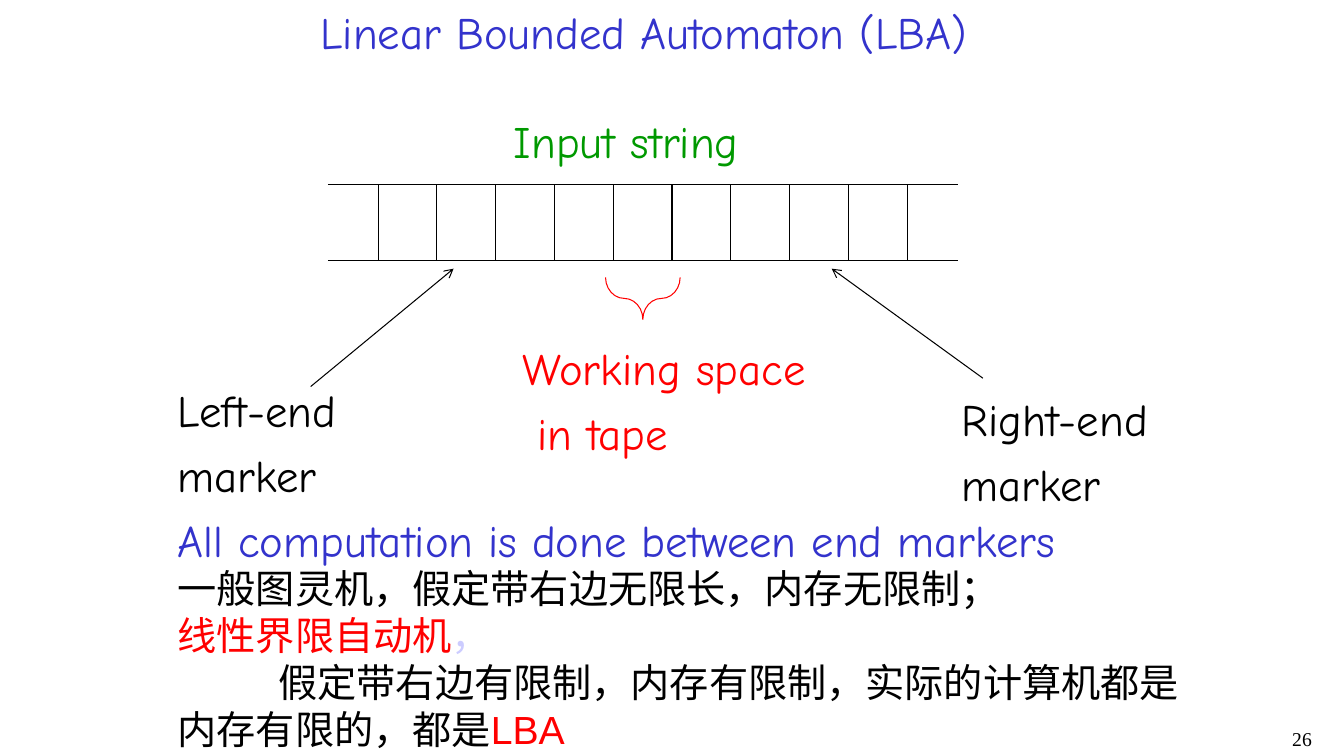
from lxml import etree
from pptx import Presentation
from pptx import util as u
from pptx.dml.color import RGBColor
from pptx.enum import shapes, text
from pptx.oxml import ns

BLACK = RGBColor(0x00, 0x00, 0x00)
GREEN = RGBColor(0x00, 0x99, 0x00)
RED = RGBColor(0xFF, 0x00, 0x00)
BLUE = RGBColor(0x33, 0x33, 0xCC)
PALE = RGBColor(0xCC, 0xCC, 0xFF)


class Board:
    """Holds the style and the current slide."""
    label = {"name": "Comic Neue", "size": u.Pt(32)}
    note = {"name": "Arial", "size": u.Pt(28)}
    page = {"name": "Times New Roman", "size": u.Pt(14)}
    width = u.Pt(0.75)

    def __init__(self, deck):
        self.slide = deck.slides.add_slide(deck.slide_layouts[6])

    def words(self, box, paras, font, gap=0, align=text.PP_ALIGN.LEFT):
        """Each paragraph is a list of (words, colour) runs."""
        frame = self.slide.shapes.add_textbox(*map(u.Cm, box)).text_frame
        frame.word_wrap = True
        for i, runs in enumerate(paras):
            para = frame.paragraphs[0] if i == 0 else frame.add_paragraph()
            para.alignment = align
            if i and gap:
                para.space_before = u.Pt(gap)
            for part, color in runs:
                run = para.add_run()
                run.text = part
                for key, value in font.items():
                    setattr(run.font, key, value)
                run.font.color.rgb = color
        return frame

    def tag(self, box, color, *lines):
        self.words(box, [[(line, color)] for line in lines], self.label, gap=8)

    def line(self, x1, y1, x2, y2, arrow=False):
        link = self.slide.shapes.add_connector(
            shapes.MSO_CONNECTOR.STRAIGHT, *map(u.Cm, (x1, y1, x2, y2)))
        link.line.width = self.width
        link.line.color.rgb = BLACK
        props = link._element.spPr
        if arrow:
            tail = etree.SubElement(props.get_or_add_ln(), ns.qn("a:tailEnd"))
            tail.set("type", "arrow")
        etree.SubElement(props, ns.qn("a:effectLst"))

    def brace(self, box, color):
        form = self.slide.shapes.add_shape(
            shapes.MSO_SHAPE.RIGHT_BRACE, *map(u.Cm, box))
        form.rotation = 90
        form.adjustments[0] = 0.55
        form.shadow.inherit = False
        form.fill.background()
        form.line.color.rgb = color
        form.line.width = self.width


def main():
    deck = Presentation()
    deck.slide_width, deck.slide_height = u.Cm(33.87), u.Cm(19.05)
    board = Board(deck)

    # Page number
    board.words((26.25, 18.2, 7.06, 0.85), [[("26", BLACK)]], board.page,
                align=text.PP_ALIGN.RIGHT)

    # Tape: two rails and evenly spaced cell walls
    top, base = 4.66, 6.56
    for y in (top, base):
        board.line(8.26, y, 24.13, y)
    first, last, cells = 9.53, 22.86, 9
    for i in range(cells + 1):
        x = first + i * (last - first) / cells
        board.line(x, top, x, base)

    # Arrows to the end markers, brace under the working space
    board.line(7.83, 9.74, 11.43, 6.77, arrow=True)
    board.line(24.77, 9.53, 20.96, 6.77, arrow=True)
    board.brace((15.67, 6.58, 1.06, 1.88), RED)

    # Labels
    board.tag((4.23, 9.53, 5.27, 3.27), BLACK, "Left-end", "marker")
    board.tag((12.7, 2.75, 6.92, 1.6), GREEN, "Input string")
    board.tag((23.98, 9.74, 5.72, 3.27), BLACK, "Right-end", "marker")
    board.tag((12.91, 8.47, 8.29, 3.27), RED, "Working space", " in tape")
    board.tag((4.23, 12.8, 24.33, 1.6), BLUE,
              "All computation is done between end markers")
    board.tag((7.83, 0, 17.93, 1.6), BLUE, "Linear Bounded Automaton (LBA)")

    # Remarks, the last one with an indented first line
    frame = board.words((4.23, 14.1, 26.06, 5.05), [
        [("一般图灵机，假定带右边无限长，内存无限制；", BLACK)],
        [("线性界限自动机", RED), ("，", PALE)],
        [("假定带右边有限制，内存有限制，实际的计算机都是内存有限的，都是", BLACK),
         ("LBA", RED)],
    ], board.note)
    props = frame.paragraphs[-1]._p.get_or_add_pPr()
    props.set("marL", "0")
    props.set("indent", str(u.Cm(2.54)))

    deck.save("out.pptx")


if __name__ == "__main__":
    main()
